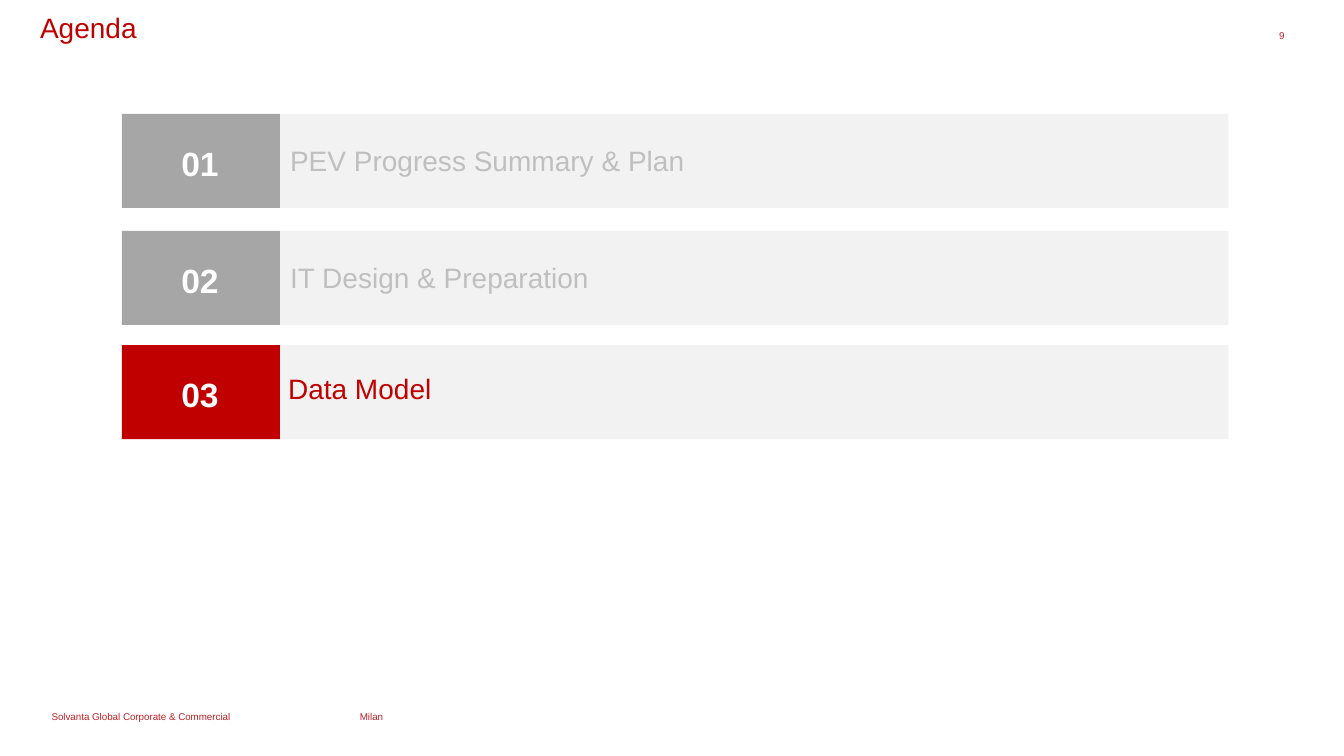
from pptx import Presentation
from pptx import util as u
from pptx.dml.color import RGBColor
from pptx.enum import shapes, text

RED, DARK_RED = "C00000", "BD2027"
GREY, PALE, FADED, WHITE = "A6A6A6", "F2F2F2", "BFBFBF", "FFFFFF"
LEFT, RIGHT = text.PP_ALIGN.LEFT, text.PP_ALIGN.RIGHT


def color(code):
    return RGBColor.from_string(code)


def block(slide, box, fill):
    """Add a plain filled rectangle."""
    rect = slide.shapes.add_shape(
        shapes.MSO_SHAPE.RECTANGLE, *(u.Cm(n) for n in box))
    rect.shadow.inherit = False
    rect.fill.solid()
    rect.fill.fore_color.rgb = color(fill)
    rect.line.fill.background()


def label(slide, box, words, size, tint, bold=False, inset=True,
          spacing=1.0, align=LEFT):
    """Add a one-line text box."""
    frame = slide.shapes.add_textbox(*(u.Cm(n) for n in box)).text_frame
    frame.word_wrap = True
    frame.vertical_anchor = text.MSO_ANCHOR.TOP
    if not inset:
        frame.margin_left = frame.margin_right = 0
        frame.margin_top = frame.margin_bottom = 0
    para = frame.paragraphs[0]
    para.alignment = align
    para.line_spacing = spacing
    run = para.add_run()
    run.text = words
    run.font.name = "Arial"
    run.font.size = u.Pt(size)
    run.font.bold = bold
    run.font.color.rgb = color(tint)


def header(slide, box, title, page):
    left, top, width, height = box
    label(slide, box, title, 20, RED)
    label(slide, (left + width - 2.07, top + 0.61, 0.74, 0.51), page, 7,
          DARK_RED, inset=False, align=RIGHT)


def item(slide, box, number, topic, active):
    """Add one agenda row; the active one stands out in red."""
    left, top, width, height = box
    tab = 3.99
    block(slide, (left, top, tab, height), RED if active else GREY)
    block(slide, (left + tab, top, width - tab, height), PALE)
    label(slide, (left + 1.25, top + 0.71, 1.47, 0.94), number, 24, WHITE,
          bold=True, spacing=0.9)
    dx, dy = (-0.05, 0.64) if active else (0, 0.71)
    label(slide, (left + tab + dx, top + dy, 20.73, 0.94), topic, 20,
          RED if active else FADED, spacing=0.9)


def agenda(slide, box, rows, current):
    left, top, width, height = box
    for index, (shift, topic) in enumerate(rows, 1):
        item(slide, (left, top + shift, width, height), f"{index:02}", topic,
             index == current)


def footer(slide, box, unit, city):
    left, top, width, height = box
    for shift, span, words in ((0, 7.32, unit), (7.77, 4.17, city)):
        label(slide, (left + shift, top, span, height), words, 7, DARK_RED,
              inset=False, spacing=0.96)


def main():
    deck = Presentation()
    deck.slide_width, deck.slide_height = u.Cm(33.87), u.Cm(19.05)
    slide = deck.slides.add_slide(deck.slide_layouts[6])
    footer(slide, (1.3, 17.93, 11.94, 0.3),
           "Solvanta Global Corporate & Commercial", "Milan")
    header(slide, (0.76, 0.15, 32.94, 1.93), "Agenda", "9")
    rows = ((0, "PEV Progress Summary & Plan"),
            (2.95, "IT Design & Preparation"),
            (5.83, "Data Model"))
    agenda(slide, (3.07, 2.87, 27.89, 2.37), rows, current=3)
    deck.save("out.pptx")


if __name__ == "__main__":
    main()
